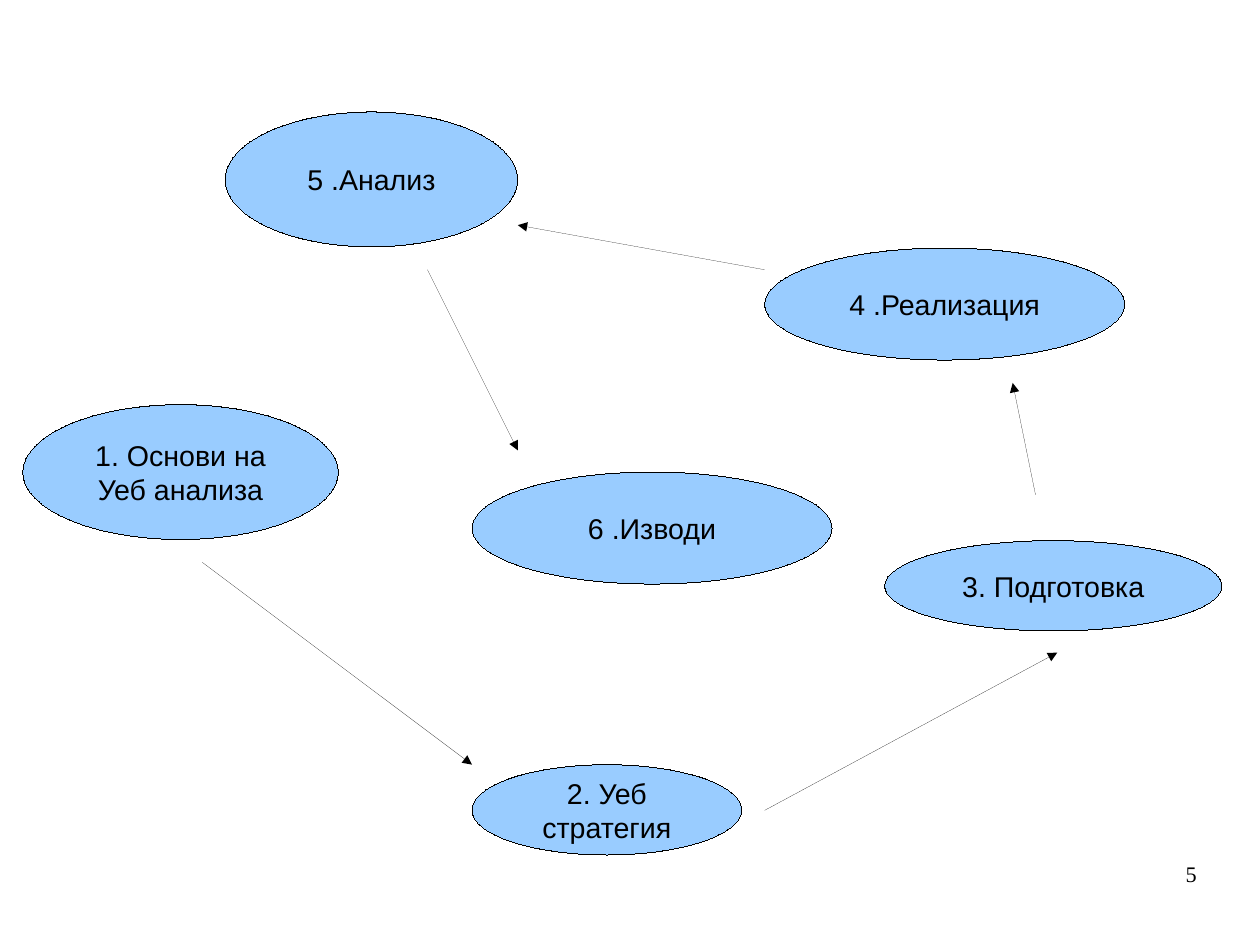
from pptx import Presentation
from pptx.dml.color import RGBColor
from pptx.enum.shapes import MSO_CONNECTOR, MSO_SHAPE
from pptx.enum.text import MSO_ANCHOR, PP_ALIGN
from pptx.oxml.ns import qn
from pptx.util import Inches, Pt
from lxml import etree

OVAL = MSO_SHAPE.OVAL
STRAIGHT = MSO_CONNECTOR.STRAIGHT
MIDDLE = MSO_ANCHOR.MIDDLE
CENTER = PP_ALIGN.CENTER
RIGHT = PP_ALIGN.RIGHT

CM_PER_INCH = 2.54
COLORS = {"step": "99CCFF", "ink": "000000"}

STEPS = [
    ("2. Уеб стратегия", (4.13, 6.69, 2.36, 0.79)),
    ("3. Подготовка", (7.74, 4.73, 2.95, 0.79)),
    ("4 .Реализация", (6.69, 2.17, 3.15, 0.98)),
    ("5 .Анализ", (1.97, 0.98, 2.56, 1.18)),
    ("6 .Изводи", (4.13, 4.13, 3.15, 0.98)),
    ("1. Основи на\nУеб анализа", (0.2, 3.54, 2.76, 1.18)),
]

ARROWS = [
    ((1.77, 4.92), (4.13, 6.69)),
    ((6.69, 7.09), (9.25, 5.71)),
    ((9.06, 4.33), (8.86, 3.35)),
    ((6.69, 2.36), (4.53, 1.97)),
    ((3.74, 2.36), (4.53, 3.94)),
]


def color(name):
    return RGBColor.from_string(COLORS[name])


def format_text(text_frame, alignment, font_name, size):
    for paragraph in text_frame.paragraphs:
        paragraph.alignment = alignment
        for run in paragraph.runs:
            run.font.name = font_name
            run.font.size = Pt(size)
            run.font.color.rgb = color("ink")


def set_hairline(shape):
    shape.line.color.rgb = color("ink")
    outline = shape._element.spPr.find(qn("a:ln"))
    outline.set("w", "0")
    return outline


def add_step(slide, text, box):
    shape = slide.shapes.add_shape(OVAL, *map(Inches, box))
    shape.shadow.inherit = False
    shape.fill.solid()
    shape.fill.fore_color.rgb = color("step")
    set_hairline(shape)
    text_frame = shape.text_frame
    text_frame.text = text
    text_frame.word_wrap = True
    text_frame.vertical_anchor = MIDDLE
    format_text(text_frame, CENTER, "Arial", 18)


def add_arrow(slide, start, end):
    connector = slide.shapes.add_connector(STRAIGHT, *map(Inches, start + end))
    outline = set_hairline(connector)
    etree.SubElement(outline, qn("a:tailEnd"), type="triangle")
    etree.SubElement(connector._element.spPr, qn("a:effectLst"))


def add_page_number(slide, text, box):
    text_box = slide.shapes.add_textbox(*map(Inches, box))
    text_frame = text_box.text_frame
    text_frame.text = text
    text_frame.word_wrap = True
    text_frame.margin_left = text_frame.margin_right = 0
    text_frame.margin_top = text_frame.margin_bottom = 0
    format_text(text_frame, RIGHT, "Times New Roman", 14)


def main():
    presentation = Presentation()
    presentation.slide_width = Inches(28 / CM_PER_INCH)
    presentation.slide_height = Inches(21 / CM_PER_INCH)
    slide = presentation.slides.add_slide(presentation.slide_layouts[6])
    add_page_number(slide, "5", (7.9, 7.53, 2.57, 0.57))
    for text, box in STEPS:
        add_step(slide, text, box)
    for start, end in ARROWS:
        add_arrow(slide, start, end)
    presentation.save("out.pptx")


if __name__ == "__main__":
    main()
